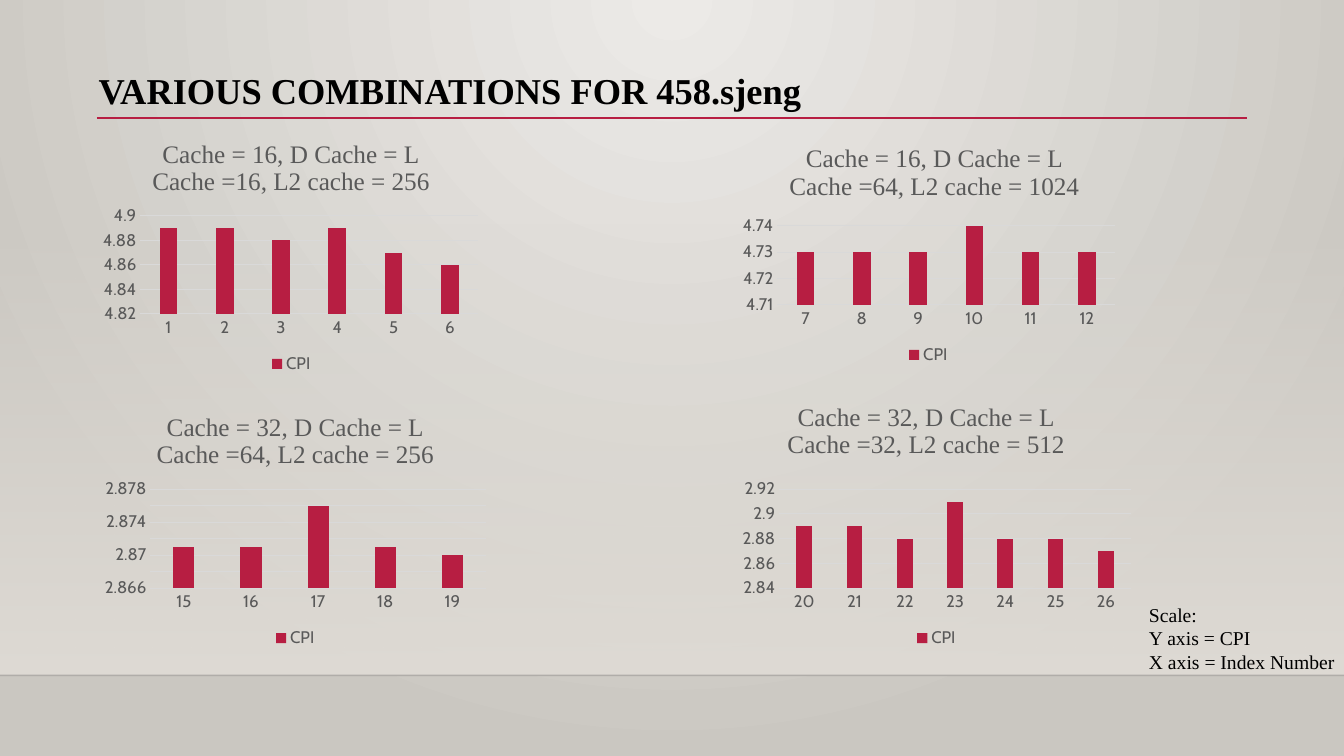
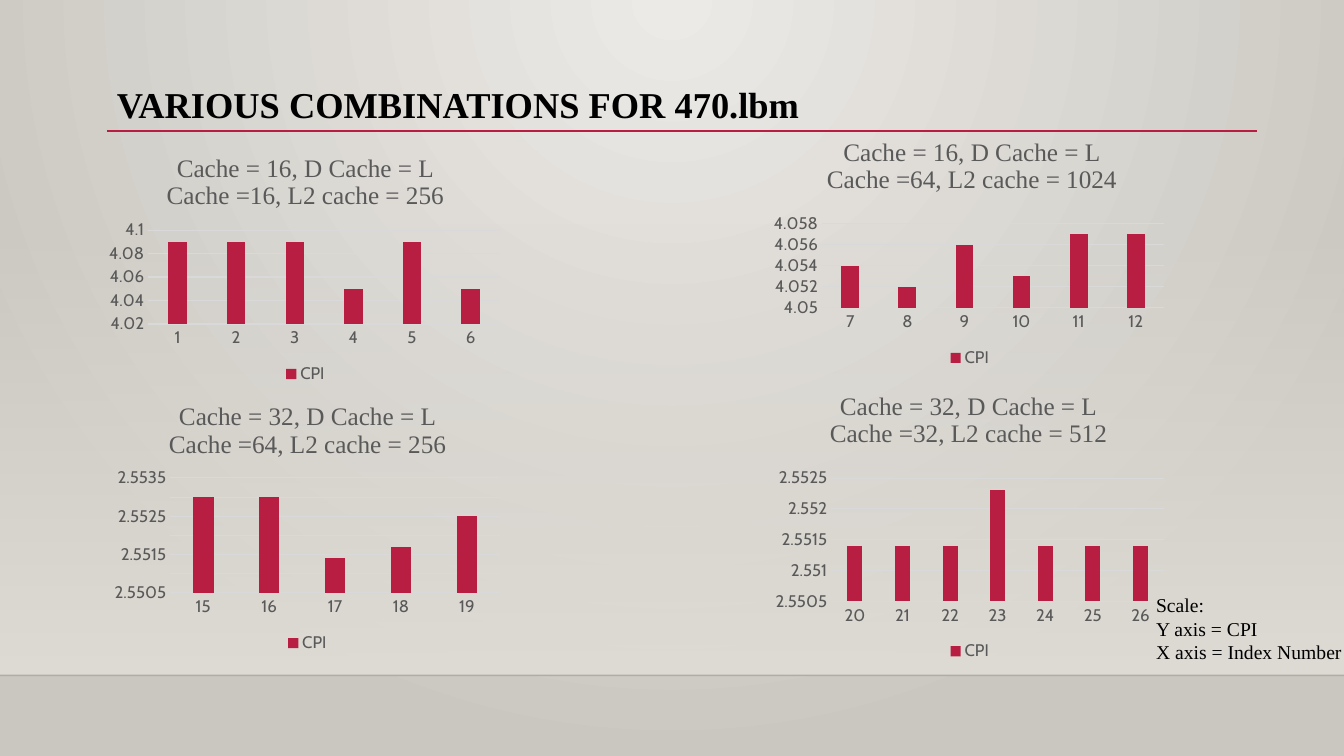
import pptx
import pptx.util
import pptx.oxml
import pptx.oxml.ns
import pptx.dml.color
import pptx.chart.data
import pptx.enum.chart
import pptx.enum.shapes
import lxml.etree

RED, BLACK, GRAY, PALE = "B71E42", "000000", "595959", "D9D9D9"
SERIF, SANS = "Times New Roman", "Cabin"
WIDE, HIGH = pptx.util.Inches(13.333), pptx.util.Inches(7.5)
SCALE = ["Scale:", "Y axis = CPI", "X axis = Index Number"]
HEADS = [
    ["Cache = 16, D Cache = L", "Cache =16, L2 cache = 256"],
    ["Cache = 16, D Cache = L", "Cache =64, L2 cache = 1024"],
    ["Cache = 32, D Cache = L", "Cache =64, L2 cache = 256"],
    ["Cache = 32, D Cache = L", "Cache =32, L2 cache = 512"],
]
SPANS = [range(1, 7), range(7, 13), range(15, 20), range(20, 27)]
DECK = [
    {
        "title": "VARIOUS COMBINATIONS FOR 458.sjeng",
        "head": (6.6, 8.4, 76.7, 7.2),
        "rule": (7.2, 15.6, 85.6),
        "note": (84.75, 79.07, 15.25, 10.8),
        "charts": [
            ((7.2, 16.67, 28.95, 33.33), (13.5, 4), (4.82, 4.9, 0.02),
             [4.89, 4.89, 4.88, 4.89, 4.87, 4.86]),
            ((54.6, 18, 28.95, 30.8), (13.5, 2), (4.71, 4.74, 0.01),
             [4.73, 4.73, 4.73, 4.74, 4.73, 4.73]),
            ((7.2, 52.8, 29.55, 33.47), (14.3, 4), (2.866, 2.878, 0.002),
             [2.871, 2.871, 2.876, 2.871, 2.87]),
            ((54.6, 52.8, 30.15, 33.47), (12.5, 0), (2.84, 2.92, 0.02),
             [2.89, 2.89, 2.88, 2.91, 2.88, 2.88, 2.87]),
        ],
    },
    {
        "title": "VARIOUS COMBINATIONS FOR 470.lbm",
        "head": (7.95, 10.27, 61.35, 7.2),
        "rule": (7.95, 17.33, 85.6),
        "note": (85.28, 77.8, 14.72, 10.8),
        "charts": [
            ((7.65, 18.53, 30.15, 32.8), (15, 4), (4.02, 4.1, 0.02),
             [4.09, 4.09, 4.09, 4.05, 4.09, 4.05]),
            ((57.08, 17.73, 30.15, 31.47), (14, 0), (4.05, 4.058, 0.002),
             [4.054, 4.052, 4.056, 4.053, 4.057, 4.057]),
            ((7.95, 51.33, 29.85, 35.6), (14.7, 4), (2.5505, 2.5535, 0.0005),
             [2.553, 2.553, 2.5514, 2.5517, 2.5525]),
            ((57.08, 51.33, 30.15, 36.67), (14.7, 0), (2.5505, 2.5525, 0.0005),
             [2.5514, 2.5514, 2.5514, 2.5523, 2.5514, 2.5514, 2.5514]),
        ],
    },
]


def tint(code):
    return pptx.dml.color.RGBColor.from_string(code)


def place(box):
    return [int(part * side / 100) for part, side in zip(box, (WIDE, HIGH) * 2)]


def style(font, size, code, face, bold=False):
    font.size = pptx.util.Pt(size)
    font.name = face
    font.bold = bold
    font.color.rgb = tint(code)


def blend(root, stops, tail):
    names = pptx.oxml.ns.nsdecls("a")
    marks = "".join(
        f'<a:gs pos="{spot}"><a:srgbClr val="{code}"><a:alpha val="{alpha}"/></a:srgbClr></a:gs>'
        for spot, code, alpha in stops)
    old = next(root.iter(pptx.oxml.ns.qn("a:gradFill")))
    new = pptx.oxml.parse_xml(
        f'<a:gradFill {names} rotWithShape="1"><a:gsLst>{marks}</a:gsLst>{tail}</a:gradFill>')
    old.getparent().replace(old, new)


def fix(node, spot, parts):
    tag = pptx.oxml.ns.qn("c:layout")
    old = node.find(tag)
    if old is not None:
        node.remove(old)
    layout = lxml.etree.Element(tag)
    manual = lxml.etree.SubElement(layout, pptx.oxml.ns.qn("c:manualLayout"))
    for name, value in parts.items():
        lxml.etree.SubElement(manual, pptx.oxml.ns.qn("c:" + name)).set("val", str(value))
    node.insert(spot, layout)


def base(master):
    master.background.fill.gradient()
    blend(master.element, [(0, "ECEAE7", 100000), (100000, "CAC7C1", 100000)],
          '<a:path path="circle"><a:fillToRect l="43000" t="0" r="43000" b="100000"/></a:path>')


def stroke(slide, x, y, width, code, weight, alpha=None):
    left, top, span, _ = place((x, y, width, 0))
    line = slide.shapes.add_connector(
        pptx.enum.shapes.MSO_CONNECTOR.STRAIGHT, left, top, left + span, top)
    line.line.color.rgb = tint(code)
    line.line.width = pptx.util.Pt(weight)
    qn = pptx.oxml.ns.qn
    if alpha:
        shade = next(line.element.spPr.iter(qn("a:srgbClr")))
        lxml.etree.SubElement(shade, qn("a:alpha")).set("val", str(alpha))
    lxml.etree.SubElement(line.element.spPr, qn("a:effectLst"))


def band(slide, top, foot):
    shape = slide.shapes.add_shape(
        pptx.enum.shapes.MSO_SHAPE.RECTANGLE, *place((0, top, 100, foot - top)))
    shape.shadow.inherit = False
    shape.line.fill.background()
    shape.fill.gradient()
    blend(shape.element, [(0, "DFDBD5", 0), (100000, "DFDBD5", 100000)],
          '<a:lin ang="5400000" scaled="0"/>')
    stroke(slide, 0, foot, 100, "000001", 1, 20000)


def write(slide, box, lines, size, bold=False):
    frame = slide.shapes.add_textbox(*place(box)).text_frame
    frame.word_wrap = True
    frame.margin_right = 0
    frame.text = "\n".join(lines)
    for para in frame.paragraphs:
        style(para.font, size, BLACK, SERIF, bold)


def axes(chart, low, high, step):
    rows, cols = chart.value_axis, chart.category_axis
    rows.minimum_scale, rows.maximum_scale, rows.major_unit = low, high, step
    for axis in (rows, cols):
        axis.major_tick_mark = axis.minor_tick_mark = pptx.enum.chart.XL_TICK_MARK.NONE
        style(axis.tick_labels.font, 12, GRAY, SANS)
    rows.format.line.fill.background()
    for line in (rows.major_gridlines.format.line, cols.format.line):
        line.color.rgb = tint(PALE)
        line.width = pptx.util.Pt(0.75)


def graph(slide, box, spot, head, cats, scale, vals):
    data = pptx.chart.data.CategoryChartData()
    data.categories = [str(cat) for cat in cats]
    data.add_series("CPI", vals)
    chart = slide.shapes.add_chart(
        pptx.enum.chart.XL_CHART_TYPE.COLUMN_CLUSTERED, *place(box), data).chart
    style(chart.font, 10, BLACK, SANS)
    chart.has_title = True
    frame = chart.chart_title.text_frame
    frame.text = "\n".join(head)
    for para in frame.paragraphs:
        style(para.font, 18, GRAY, SERIF)
    chart.has_legend = True
    chart.legend.position = pptx.enum.chart.XL_LEGEND_POSITION.BOTTOM
    chart.legend.include_in_layout = False
    style(chart.legend.font, 12, GRAY, SANS)
    plot = chart.plots[0]
    plot.gap_width, plot.overlap, plot.vary_by_categories = 219, -27, False
    fill = plot.series[0].format.fill
    fill.solid()
    fill.fore_color.rgb = tint(RED)
    axes(chart, *scale)
    left = 0.02 + 0.023 * max(len(str(end)) for end in scale[:2])
    area = chart.element.chart.plotArea
    fix(area, 0, {
        "layoutTarget": "inner", "xMode": "edge", "yMode": "edge",
        "x": round(left, 3), "y": round(11.9 / box[3], 3),
        "w": round(0.98 - left, 3), "h": round(1 - 20.37 / box[3], 3)})
    fix(area.getparent().find(pptx.oxml.ns.qn("c:title")), 1, {
        "xMode": "edge", "yMode": "edge", "x": spot[0] / 100, "y": spot[1] / 100})


def page(deck, item):
    slide = deck.slides.add_slide(deck.slide_layouts[6])
    band(slide, 29.47, 89.33)
    write(slide, item["head"], [item["title"]], 26, True)
    stroke(slide, *item["rule"], RED, 1.25)
    for head, cats, (box, spot, scale, vals) in zip(HEADS, SPANS, item["charts"]):
        graph(slide, box, spot, head, cats, scale, vals)
    write(slide, item["note"], SCALE, 14)


def main():
    deck = pptx.Presentation()
    deck.slide_width, deck.slide_height = WIDE, HIGH
    base(deck.slide_master)
    for item in DECK:
        page(deck, item)
    deck.save("out.pptx")


if __name__ == "__main__":
    main()
